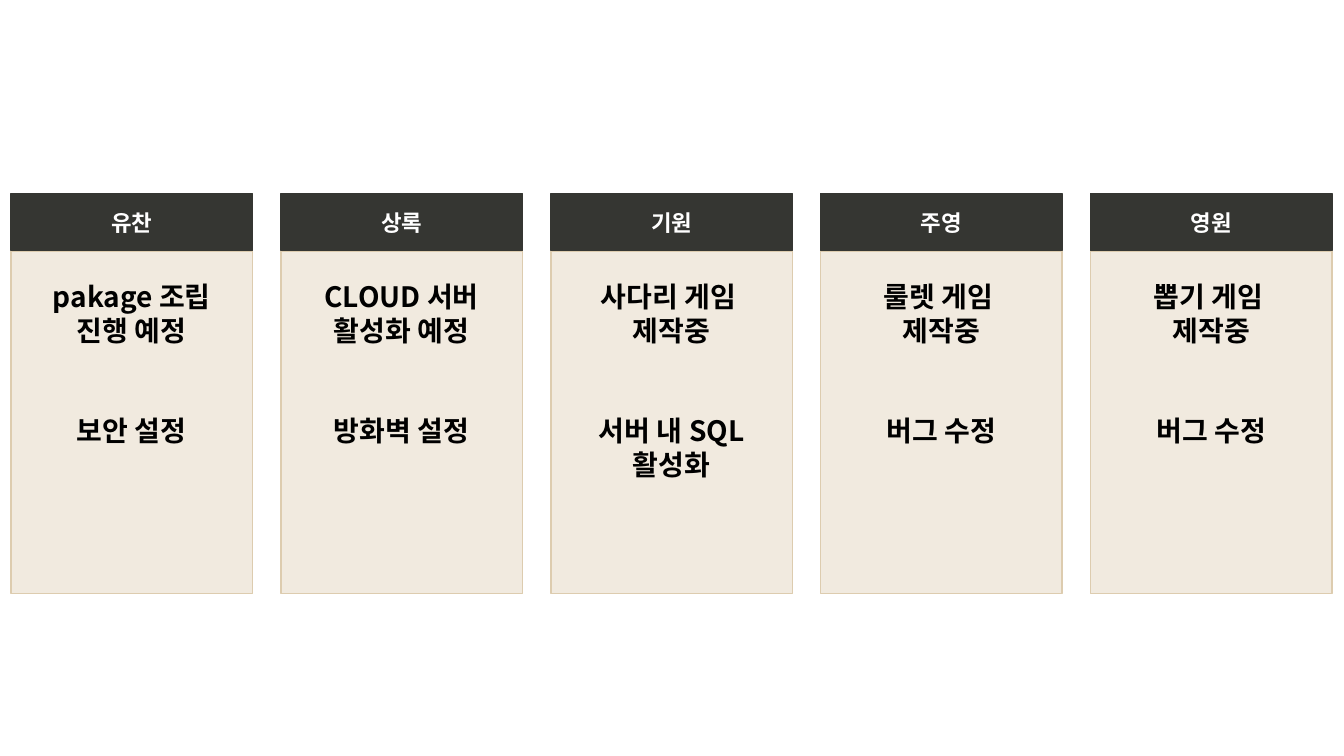
import pptx
import pptx.dml.color
import pptx.enum.shapes
import pptx.enum.text
import pptx.oxml
import pptx.oxml.ns
import pptx.util

Pt = pptx.util.Pt
RGBColor = pptx.dml.color.RGBColor
PP_ALIGN = pptx.enum.text.PP_ALIGN
MSO_ANCHOR = pptx.enum.text.MSO_ANCHOR

DARK = RGBColor(0x35, 0x36, 0x32)
SAND = RGBColor(0xDD, 0xCC, 0xAF)
WHITE = RGBColor(0xFF, 0xFF, 0xFF)
BLACK = RGBColor(0x00, 0x00, 0x00)
FONT = "Noto Sans CJK KR"

# Card grid, in points
LEFT, PITCH, WIDTH = 7.92, 192.8, 172.4
HEADER_TOP, HEADER_HEIGHT = 138.2, 41
BODY_TOP, BODY_HEIGHT = 179.2, 244.8
LINE_HEIGHT = 24

# Member name, then tasks; each task is a list of paragraphs
MEMBERS = [
    ("유찬", [["pakage 조립 진행 예정"], ["보안 설정"]]),
    ("상록", [["CLOUD 서버 활성화 예정"], ["방화벽 설정"]]),
    ("기원", [["사다리 게임 ", "제작중"], ["서버 내 SQL 활성화"]]),
    ("주영", [["룰렛 게임 ", "제작중"], ["버그 수정"]]),
    ("영원", [["뽑기 게임 ", "제작중"], ["버그 수정"]]),
]

presentation = pptx.Presentation()
presentation.slide_width = Pt(960)
presentation.slide_height = Pt(540)
slide = presentation.slides.add_slide(presentation.slide_layouts[6])


def add_box(left, top, height, color, anchor):
    shape = slide.shapes.add_shape(
        pptx.enum.shapes.MSO_SHAPE.RECTANGLE,
        Pt(left), Pt(top), Pt(WIDTH), Pt(height))
    shape.shadow.inherit = False
    shape.fill.solid()
    shape.fill.fore_color.rgb = color
    shape.line.color.rgb = color
    shape.line.width = Pt(1)
    frame = shape.text_frame
    frame.word_wrap = True
    frame.vertical_anchor = anchor
    frame.margin_left = frame.margin_right = Pt(10)
    return shape


def add_text(paragraph, text, size, color):
    paragraph.alignment = PP_ALIGN.CENTER
    run = paragraph.add_run()
    run.text = text
    run.font.size = Pt(size)
    run.font.bold = True
    run.font.color.rgb = color
    run.font.name = FONT
    east_asian = pptx.oxml.parse_xml(
        f'<a:ea {pptx.oxml.ns.nsdecls("a")} typeface="{FONT}"/>')
    run.font._element.append(east_asian)


for column, (name, tasks) in enumerate(MEMBERS):
    left = LEFT + column * PITCH

    # Task panel with a 40 % opaque fill
    panel = add_box(left, BODY_TOP, BODY_HEIGHT, SAND, MSO_ANCHOR.TOP)
    fill_color = panel._element.spPr.find(
        "a:solidFill/a:srgbClr", pptx.oxml.ns._nsmap)
    fill_color.append(pptx.oxml.parse_xml(
        f'<a:alpha {pptx.oxml.ns.nsdecls("a")} val="40000"/>'))
    frame = panel.text_frame
    frame.margin_top = Pt(20.5)
    for task_number, lines in enumerate(tasks):
        for line_number, line in enumerate(lines):
            first = task_number == 0 and line_number == 0
            paragraph = frame.paragraphs[0] if first else frame.add_paragraph()
            paragraph.line_spacing = Pt(LINE_HEIGHT)
            if task_number > 0 and line_number == 0:
                paragraph.space_before = Pt(2 * LINE_HEIGHT)
            add_text(paragraph, line, 20, BLACK)

    # Name header
    header = add_box(left, HEADER_TOP, HEADER_HEIGHT, DARK, MSO_ANCHOR.MIDDLE)
    add_text(header.text_frame.paragraphs[0], name, 16, WHITE)

presentation.save("out.pptx")
